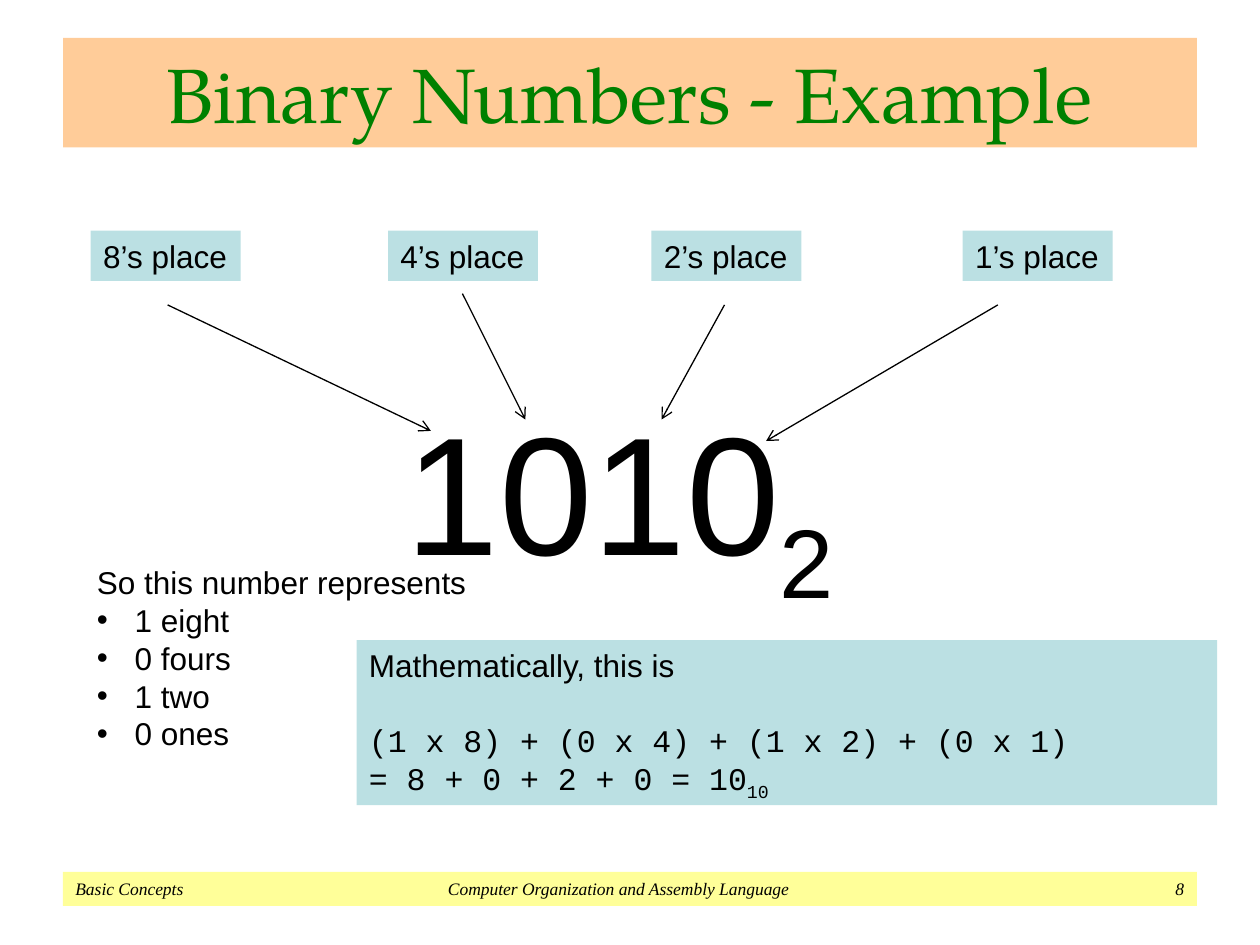
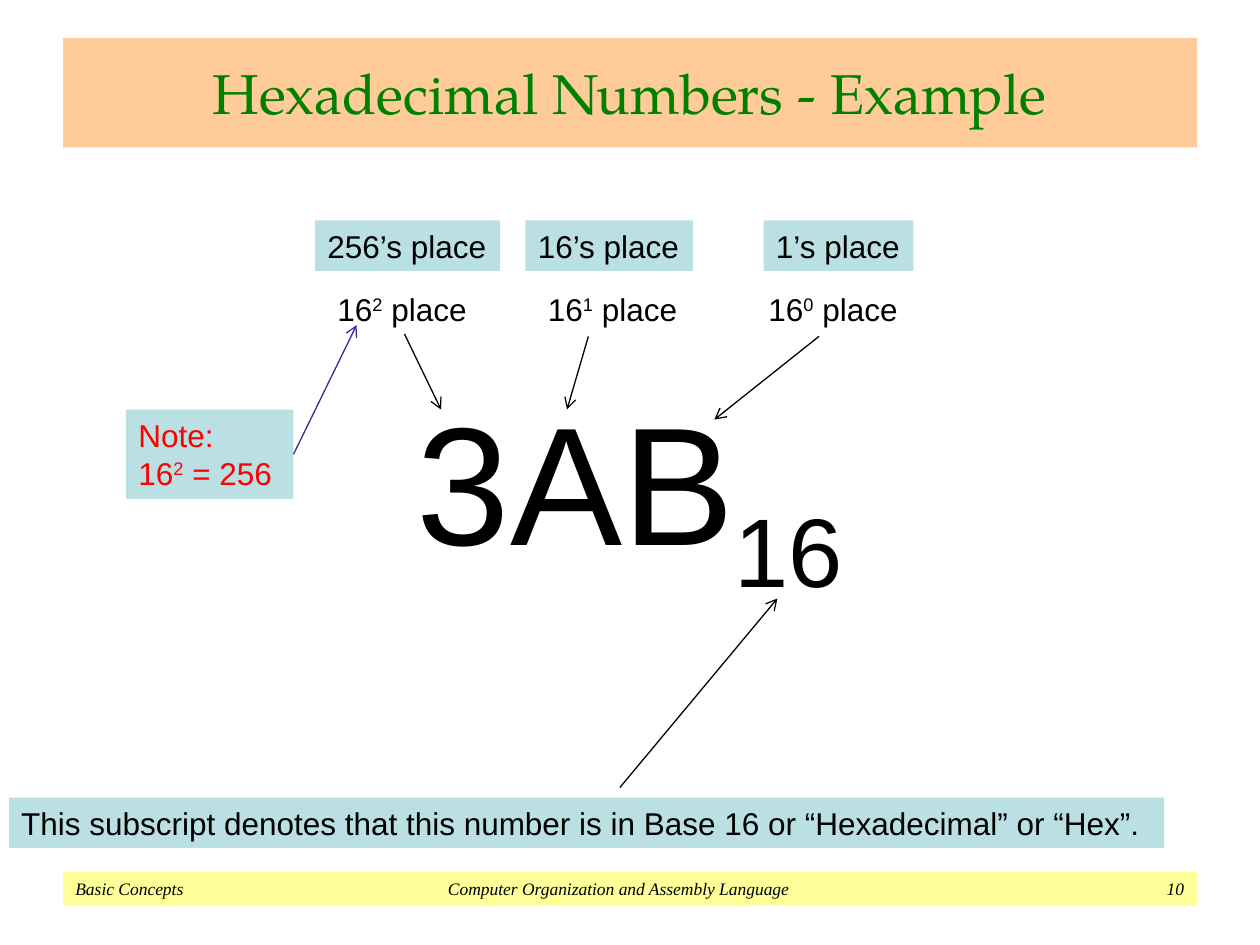
from lxml.etree import SubElement
from pptx import Presentation
from pptx.dml.color import RGBColor
from pptx.enum.shapes import MSO_CONNECTOR, MSO_SHAPE
from pptx.enum.text import MSO_ANCHOR, MSO_AUTO_SIZE, PP_ALIGN
from pptx.oxml.ns import qn
from pptx.util import Inches, Pt

COLORS = {
    "title band": "FFCC99",
    "title": "008000",
    "footer band": "FFFF99",
    "box": "BBE0E3",
    "text": "000000",
    "note": "FF0000",
    "note arrow": "2F2F98",
}
TITLE_FONT, BODY_FONT = "TeX Gyre Pagella", "Arial"
CODE_FONT, FOOTER_FONT = "Courier New", "Times New Roman"
SUB, SUPER = -25, 30
LINE_HEIGHT = 0.4
BAND_LEFT, BAND_WIDTH = 0.5, 9

FOOTER = ("Basic Concepts", "Computer Organization and Assembly Language")
FOOTER_TABS = (("ctr", 4.31), ("r", 8.8))

# A paragraph is a list of runs; a run is (text, baseline shift in percent).
# Places: label, left, width, arrow start, arrow end
BINARY_PLACES = [
    ("8’s place", 0.72, 1.19, (1.33, 2.42), (3.42, 3.42)),
    ("4’s place", 3.08, 1.19, (3.67, 2.33), (4.17, 3.33)),
    ("2’s place", 5.17, 1.19, (5.75, 2.42), (5.25, 3.33)),
    ("1’s place", 7.64, 1.19, (7.92, 2.42), (6.08, 3.5)),
]
BINARY_NUMBER = [("1010", 0), ("2", SUB)]
BINARY_INTRO = "So this number represents"
BINARY_PARTS = ["1 eight", "0 fours", "1 two", "0 ones"]
MATH = [
    [("Mathematically, this is", 0)],
    [("(1 x 8) + (0 x 4) + (1 x 2) + (0 x 1)", 0)],
    [("= 8 + 0 + 2 + 0 = 10", 0), ("10", SUB)],
]

HEX_PLACES = [
    ("256’s place", 2.5, 1.47, (3.21, 2.65), (3.5, 3.25)),
    ("16’s place", 4.17, 1.33, (4.67, 2.67), (4.5, 3.25)),
    ("1’s place", 6.06, 1.19, (6.5, 2.67), (5.67, 3.33)),
]
HEX_POWERS = [("2", 2.58), ("1", 4.25), ("0", 6)]
HEX_NUMBER = [("3AB", 0), ("16", SUB)]
HEX_NOTE = [[("Note:", 0)], [("16", 0), ("2", SUPER), (" = 256", 0)]]
HEX_SUBSCRIPT = [[("This subscript denotes that this number is in Base 16 "
                   "or “Hexadecimal” or “Hex”.", 0)]]


def style_font(font, size, name=BODY_FONT, color="text"):
    font.size = Pt(size)
    font.name = name
    font.color.rgb = RGBColor.from_string(COLORS[color])


def fill_band(shape, color):
    shape.fill.solid()
    shape.fill.fore_color.rgb = RGBColor.from_string(COLORS[color])
    shape.line.fill.background()


def add_box(slide, paragraphs, left, top, width, height, fill=None, size=18,
            color="text", wrap=False, align=PP_ALIGN.LEFT):
    area = [Inches(value) for value in (left, top, width, height)]
    if fill:
        shape = slide.shapes.add_shape(MSO_SHAPE.RECTANGLE, *area)
        shape.shadow.inherit = False
        fill_band(shape, fill)
    else:
        shape = slide.shapes.add_textbox(*area)
    frame = shape.text_frame
    frame.word_wrap = wrap
    frame.vertical_anchor = MSO_ANCHOR.TOP
    for index, runs in enumerate(paragraphs):
        paragraph = frame.paragraphs[0] if index == 0 else frame.add_paragraph()
        paragraph.alignment = align
        for text, baseline in runs:
            run = paragraph.add_run()
            run.text = text
            style_font(run.font, size, color=color)
            if baseline:
                run._r.get_or_add_rPr().set("baseline", str(baseline * 1000))
    return shape


def add_arrow(slide, start, end, color="text"):
    points = [Inches(value) for value in (*start, *end)]
    arrow = slide.shapes.add_connector(MSO_CONNECTOR.STRAIGHT, *points)
    arrow.line.width = Pt(0.75)
    arrow.line.color.rgb = RGBColor.from_string(COLORS[color])
    properties = arrow._element.spPr
    SubElement(properties.find(qn("a:ln")), qn("a:tailEnd"), type="arrow")
    SubElement(properties, qn("a:effectLst"))
    return arrow


def add_bullet(paragraph, indent):
    properties = paragraph._p.get_or_add_pPr()
    properties.set("marL", str(Inches(indent)))
    properties.set("indent", str(-Inches(indent)))
    SubElement(properties, qn("a:buFont"), typeface=BODY_FONT)
    SubElement(properties, qn("a:buChar"), char="•")


def add_footer(slide, number):
    text = "\t".join((*FOOTER, number))
    band = add_box(slide, [[(text, 0)]], BAND_LEFT, 6.92, BAND_WIDTH, 0.27,
                   fill="footer band", size=10, wrap=True)
    band.text_frame.vertical_anchor = MSO_ANCHOR.MIDDLE
    paragraph = band.text_frame.paragraphs[0]
    tabs = SubElement(paragraph._p.get_or_add_pPr(), qn("a:tabLst"))
    for align, position in FOOTER_TABS:
        SubElement(tabs, qn("a:tab"), pos=str(Inches(position)), algn=align)
    for run in paragraph.runs:
        style_font(run.font, 10, FOOTER_FONT)
        run.font.italic = True


def add_slide(presentation, title_text, title_size, number):
    """Add a slide with the shared title band and footer band."""
    slide = presentation.slides.add_slide(presentation.slide_layouts[5])
    title = slide.shapes.title
    title.left, title.top = Inches(BAND_LEFT), Inches(0.3)
    title.width, title.height = Inches(BAND_WIDTH), Inches(0.87)
    fill_band(title, "title band")
    frame = title.text_frame
    frame.auto_size = MSO_AUTO_SIZE.NONE
    frame.vertical_anchor = MSO_ANCHOR.MIDDLE
    paragraph = frame.paragraphs[0]
    paragraph.alignment = PP_ALIGN.CENTER
    run = paragraph.add_run()
    run.text = title_text
    style_font(run.font, title_size, TITLE_FONT, "title")
    add_footer(slide, number)
    return slide


def add_number_with_places(slide, number, number_left, number_top, places, places_top):
    for label, left, width, start, end in places:
        add_arrow(slide, start, end)
        add_box(slide, [[(label, 0)]], left, places_top, width, LINE_HEIGHT, fill="box")
    add_box(slide, [number], number_left, number_top, 10, 1.72, size=96,
            wrap=True, align=PP_ALIGN.CENTER)


def build_binary_slide(presentation):
    slide = add_slide(presentation, "Binary Numbers - Example", 44, "8")
    add_number_with_places(slide, BINARY_NUMBER, -0.08, 3.03, BINARY_PLACES, 1.83)

    lines = [[(text, 0)] for text in (BINARY_INTRO, *BINARY_PARTS)]
    parts = add_box(slide, lines, 0.67, 4.42, 3.42, 1.62, wrap=True)
    for paragraph in parts.text_frame.paragraphs[1:]:
        add_bullet(paragraph, 0.3)

    math = add_box(slide, MATH, 2.83, 5.08, 6.83, 1.31, fill="box", wrap=True)
    formulas = math.text_frame.paragraphs[1:]
    formulas[0].space_before = Pt(21)
    for paragraph in formulas:
        for run in paragraph.runs:
            run.font.name = CODE_FONT


def build_hexadecimal_slide(presentation):
    slide = add_slide(presentation, "Hexadecimal Numbers - Example", 32, "10")
    add_number_with_places(slide, HEX_NUMBER, 0, 2.95, HEX_PLACES, 1.75)
    for power, left in HEX_POWERS:
        add_box(slide, [[("16", 0), (power, SUPER), (" place", 0)]],
                left, 2.25, 1.25, LINE_HEIGHT)

    add_box(slide, HEX_SUBSCRIPT, 0.07, 6.33, 9.17, LINE_HEIGHT, fill="box")
    add_arrow(slide, (4.92, 6.25), (6.17, 4.75))

    note = add_box(slide, HEX_NOTE, 1, 3.25, 1.33, 0.71, fill="box", color="note")
    note_arrow = add_arrow(slide, (2.33, 3.6), (2.83, 2.58), "note arrow")
    note_arrow.begin_connect(note, 3)


def main():
    presentation = Presentation()
    presentation.slide_width, presentation.slide_height = Inches(10), Inches(7.5)
    build_binary_slide(presentation)
    build_hexadecimal_slide(presentation)
    presentation.save("out.pptx")


if __name__ == "__main__":
    main()
